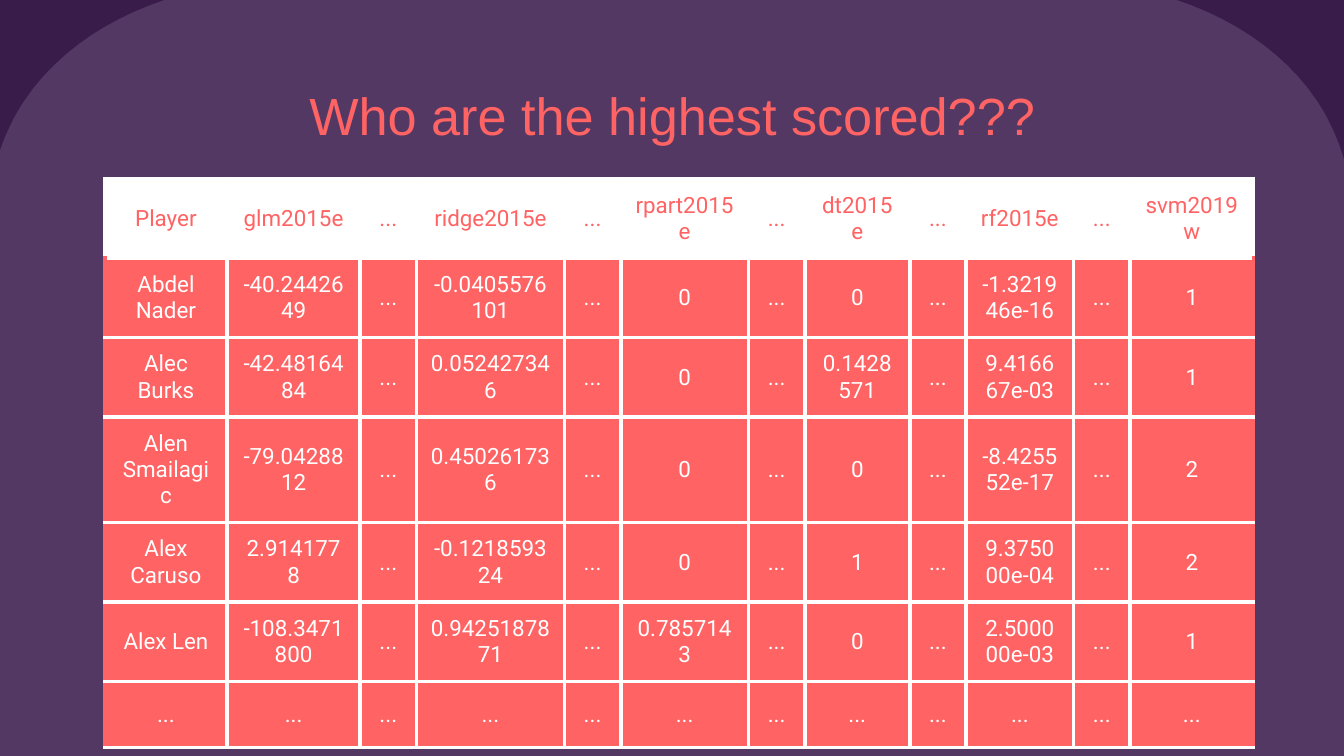
from dataclasses import dataclass

from lxml import etree
from pptx import Presentation
from pptx.dml.color import RGBColor
from pptx.enum.text import MSO_ANCHOR, PP_ALIGN
from pptx.oxml.ns import qn
from pptx.util import Inches, Pt

MIDDLE = MSO_ANCHOR.MIDDLE
CENTER = PP_ALIGN.CENTER
TITLE_ONLY = 5


@dataclass(frozen=True)
class Theme:
    background: str = "543864"
    corner: str = "3A1C4B"
    accent: str = "FF6363"
    light: str = "FFFFFF"
    title_font: str = "Arial"
    table_font: str = "Roboto"
    title_size: int = 28
    table_size: int = 12
    border_width: float = 2.25
    inset: float = 0.1


HEADERS = ["Player", "glm2015e", "ridge2015e", "rpart2015e", "dt2015e", "rf2015e", "svm2019w"]
SCORES = [
    ["Abdel Nader", "-40.2442649", "-0.0405576101", "0", "0", "-1.321946e-16", "1"],
    ["Alec Burks", "-42.4816484", "0.052427346", "0", "0.1428571", "9.416667e-03", "1"],
    ["Alen Smailagic", "-79.0428812", "0.450261736", "0", "0", "-8.425552e-17", "2"],
    ["Alex Caruso", "2.9141778", "-0.121859324", "0", "1", "9.375000e-04", "2"],
    ["Alex Len", "-108.3471800", "0.9425187871", "0.7857143", "0", "2.500000e-03", "1"],
    ["..."] * len(HEADERS),
]
VALUE_WIDTHS = [0.91, 0.99, 1.1, 0.95, 0.78, 0.8, 0.92]
GAP_WIDTH = 0.42
HEADER_HEIGHT, ROW_HEIGHT = 0.36, 0.49

CORNER_START = [(1.91, -0.15), (-0.25, -0.15), (-0.25, 1.79), (-0.15, 1.79)]
CORNER_CURVES = [
    [(-0.14, 1.78), (-0.14, 1.76), (-0.13, 1.75)],
    [(-0.1, 1.65), (-0.1, 1.55), (-0.08, 1.44)],
    [(-0.04, 1.2), (0.04, 0.96), (0.18, 0.75)],
    [(0.44, 0.36), (0.87, 0.1), (1.32, -0.03)],
    [(1.52, -0.09), (1.71, -0.13), (1.91, -0.15)],
]
MIRROR_WIDTH = 9.98
CURVE_STEPS = 12


def spread(items, gap):
    first, *rest = items
    row = [first]
    for index, item in enumerate(rest):
        row += [gap, item] if index else [item]
    return row


def curve_points(start, curve):
    anchors = [start, *curve]
    for step in range(1, CURVE_STEPS + 1):
        t = step / CURVE_STEPS
        weights = [(1 - t) ** 3, 3 * t * (1 - t) ** 2, 3 * t**2 * (1 - t), t**3]
        yield tuple(sum(w * p[axis] for w, p in zip(weights, anchors)) for axis in (0, 1))


def corner_outline():
    points = list(CORNER_START)
    for curve in CORNER_CURVES:
        points.extend(curve_points(points[-1], curve))
    return points


class SlideBuilder:
    def __init__(self, slide, theme):
        self.slide = slide
        self.theme = theme

    def paint(self, fill, color):
        fill.solid()
        fill.fore_color.rgb = RGBColor.from_string(color)

    def background(self):
        self.paint(self.slide.background.fill, self.theme.background)

    def corner(self, points):
        outline = [(Inches(x), Inches(y)) for x, y in points]
        builder = self.slide.shapes.build_freeform(*outline[0])
        builder.add_line_segments(outline[1:], close=True)
        shape = builder.convert_to_shape()
        shape.shadow.inherit = False
        self.paint(shape.fill, self.theme.corner)
        shape.line.fill.background()

    def format_text(self, frame, font, size, color):
        for para in frame.paragraphs:
            para.alignment = CENTER
            for span in para.runs:
                span.font.name = font
                span.font.size = Pt(size)
                span.font.color.rgb = RGBColor.from_string(color)

    def set_insets(self, box):
        inset = Inches(self.theme.inset)
        box.margin_left = box.margin_right = box.margin_top = box.margin_bottom = inset
        box.vertical_anchor = MIDDLE

    def title(self, text, left, top, width, height):
        box = self.slide.shapes.title
        box.left, box.top = Inches(left), Inches(top)
        box.width, box.height = Inches(width), Inches(height)
        frame = box.text_frame
        frame.text = text
        frame.word_wrap = True
        self.set_insets(frame)
        self.format_text(frame, self.theme.title_font, self.theme.title_size, self.theme.accent)

    def border(self, cell, side, color):
        properties = cell._tc.get_or_add_tcPr()
        line = etree.SubElement(properties, qn(f"a:ln{side}"), w=str(Pt(self.theme.border_width)))
        fill = etree.SubElement(line, qn("a:solidFill"))
        etree.SubElement(fill, qn("a:srgbClr"), val=color)

    def cell(self, cell, text, color, fill, side_colors):
        cell.text = text
        self.set_insets(cell)
        self.format_text(cell.text_frame, self.theme.table_font, self.theme.table_size, color)
        for side in "LRTB":
            self.border(cell, side, side_colors.get(side, self.theme.light))
        self.paint(cell.fill, fill)

    def table(self, rows, widths, heights, left, top):
        theme = self.theme
        table = self.slide.shapes.add_table(
            len(rows), len(widths), Inches(left), Inches(top),
            Inches(sum(widths)), Inches(sum(heights)),
        ).table
        table.first_row = table.horz_banding = False
        for column, width in zip(table.columns, widths):
            column.width = Inches(width)
        for row, height in zip(table.rows, heights):
            row.height = Inches(height)
        last = len(widths) - 1
        for r, texts in enumerate(rows):
            color, fill = (theme.light, theme.accent) if r else (theme.accent, theme.light)
            for c, text in enumerate(texts):
                side_colors = {0: {"L": fill}, last: {"R": fill}}.get(c, {})
                self.cell(table.cell(r, c), text, color, fill, side_colors)


def main():
    deck = Presentation()
    deck.slide_width = Inches(10)
    deck.slide_height = deck.slide_width * 9 // 16
    page = SlideBuilder(deck.slides.add_slide(deck.slide_layouts[TITLE_ONLY]), Theme())
    page.background()
    outline = corner_outline()
    page.corner(outline)
    page.corner([(MIRROR_WIDTH - x, y) for x, y in outline])
    page.title("Who are the highest scored???", 0.78, 0.59, 8.44, 0.52)
    rows = [spread(row, "...") for row in [HEADERS, *SCORES]]
    heights = [HEADER_HEIGHT] + [ROW_HEIGHT] * len(SCORES)
    page.table(rows, spread(VALUE_WIDTHS, GAP_WIDTH), heights, 0.78, 1.33)
    deck.save("out.pptx")


if __name__ == "__main__":
    main()
